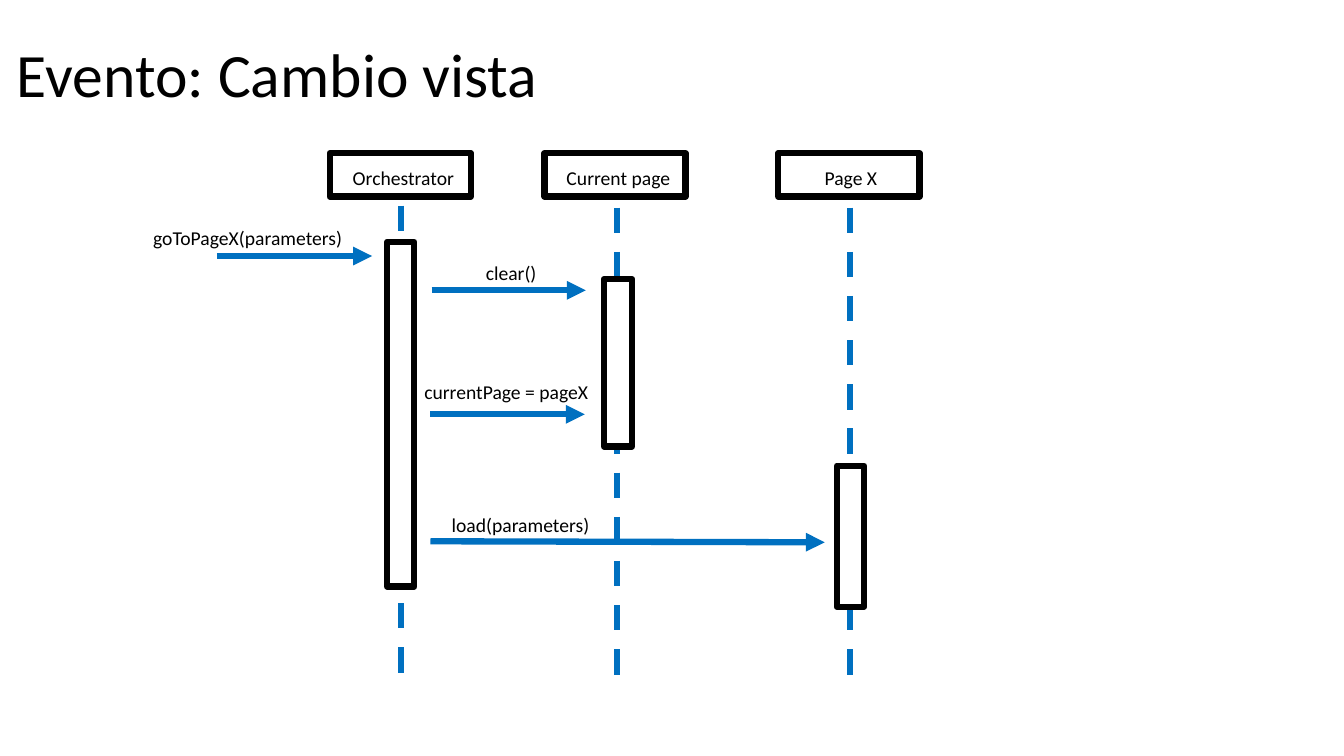
from dataclasses import dataclass

from lxml.etree import SubElement
from pptx import Presentation
from pptx.dml.color import RGBColor
from pptx.enum.dml import MSO_LINE_DASH_STYLE as DASH
from pptx.enum.shapes import MSO_CONNECTOR as CONN, MSO_SHAPE as SHAPE
from pptx.enum.text import MSO_ANCHOR as ANCHOR, MSO_AUTO_SIZE as AUTO
from pptx.oxml.ns import qn
from pptx.util import Inches, Pt


@dataclass(frozen=True)
class Theme:
    font: str = "Calibri"
    ink: RGBColor = RGBColor(0x00, 0x00, 0x00)
    paper: RGBColor = RGBColor(0xFF, 0xFF, 0xFF)
    accent: RGBColor = RGBColor(0x00, 0x70, 0xC0)
    title_size: Pt = Pt(44)
    label_size: Pt = Pt(14)
    stroke: Pt = Pt(4.5)


class SequenceDiagram:
    def __init__(self, slide, theme):
        self.slide = slide
        self.theme = theme

    def text(self, text, x, y, w, h, size):
        sp = self.slide.shapes.add_textbox(Inches(x), Inches(y), Inches(w), Inches(h))
        tf = sp.text_frame
        tf.word_wrap = True
        p = tf.paragraphs[0]
        p.text = text
        p.font.name = self.theme.font
        p.font.size = size
        p.font.color.rgb = self.theme.ink
        return tf

    def title(self, text, x, y, w, h):
        tf = self.text(text, x, y, w, h, self.theme.title_size)
        tf.vertical_anchor = ANCHOR.MIDDLE
        tf.paragraphs[0].line_spacing = 0.9

    def label(self, text, x, y, w, h=0.34):
        tf = self.text(text, x, y, w, h, self.theme.label_size)
        tf.auto_size = AUTO.SHAPE_TO_FIT_TEXT

    def box(self, x, y, w, h):
        sp = self.slide.shapes.add_shape(
            SHAPE.RECTANGLE, Inches(x), Inches(y), Inches(w), Inches(h))
        sp.shadow.inherit = False
        sp.fill.solid()
        sp.fill.fore_color.rgb = self.theme.paper
        sp.line.color.rgb = self.theme.ink
        sp.line.width = self.theme.stroke

    def line(self, x1, y1, x2, y2):
        cx = self.slide.shapes.add_connector(
            CONN.STRAIGHT, Inches(x1), Inches(y1), Inches(x2), Inches(y2))
        cx.line.color.rgb = self.theme.accent
        cx.line.width = self.theme.stroke
        SubElement(cx._element.spPr, qn("a:effectLst"))
        return cx

    def lifeline(self, x, top, bottom):
        self.line(x, top, x, bottom).line.dash_style = DASH.DASH

    def arrow(self, x1, y1, x2, y2):
        cx = self.line(x1, y1, x2, y2)
        SubElement(cx.line._get_or_add_ln(), qn("a:tailEnd"), type="triangle")


# Participants: name, header x, label x and width, lifeline (x, top, bottom),
# activation bar (x, y, width, height)
PARTICIPANTS = [
    ("Orchestrator", 3.27, 3.4, 1.25, (3.98, 2.04, 6.77), (3.84, 2.4, 0.27, 3.42)),
    ("Current page", 5.4, 5.52, 1.25, (6.12, 2.06, 6.8), (5.99, 2.77, 0.28, 1.66)),
    ("Page X", 7.72, 8.08, 0.82, (8.43, 2.06, 6.8), (8.3, 4.62, 0.27, 1.4)),
]

# Messages: text, label (x, y, width), arrow (x1, y1, x2, y2)
MESSAGES = [
    ("goToPageX(parameters)", (1.42, 2.19, 2.15), (2.15, 2.54, 3.69, 2.54)),
    ("clear()", (4.72, 2.54, 0.86), (4.28, 2.88, 5.81, 2.88)),
    ("currentPage = pageX", (4.11, 3.72, 1.95), (4.27, 4.11, 5.8, 4.11)),
    ("load(parameters)", (4.38, 5.04, 1.68), (4.27, 5.37, 8.18, 5.38)),
]


def main():
    prs = Presentation()
    prs.slide_width = Inches(13.33)
    prs.slide_height = Inches(7.5)
    diagram = SequenceDiagram(prs.slides.add_slide(prs.slide_layouts[6]), Theme())

    # Title
    diagram.title("Evento: Cambio vista", 0.07, 0.04, 9.87, 1.45)

    # Participants with lifelines and activation bars
    for name, header_x, label_x, label_w, lifeline, activation in PARTICIPANTS:
        diagram.box(header_x, 1.52, 1.4, 0.43)
        diagram.label(name, label_x, 1.6, label_w, 0.35)
        diagram.lifeline(*lifeline)
        diagram.box(*activation)

    # Messages
    for text, label, arrow in MESSAGES:
        diagram.arrow(*arrow)
        diagram.label(text, *label)

    prs.save("out.pptx")


if __name__ == "__main__":
    main()
